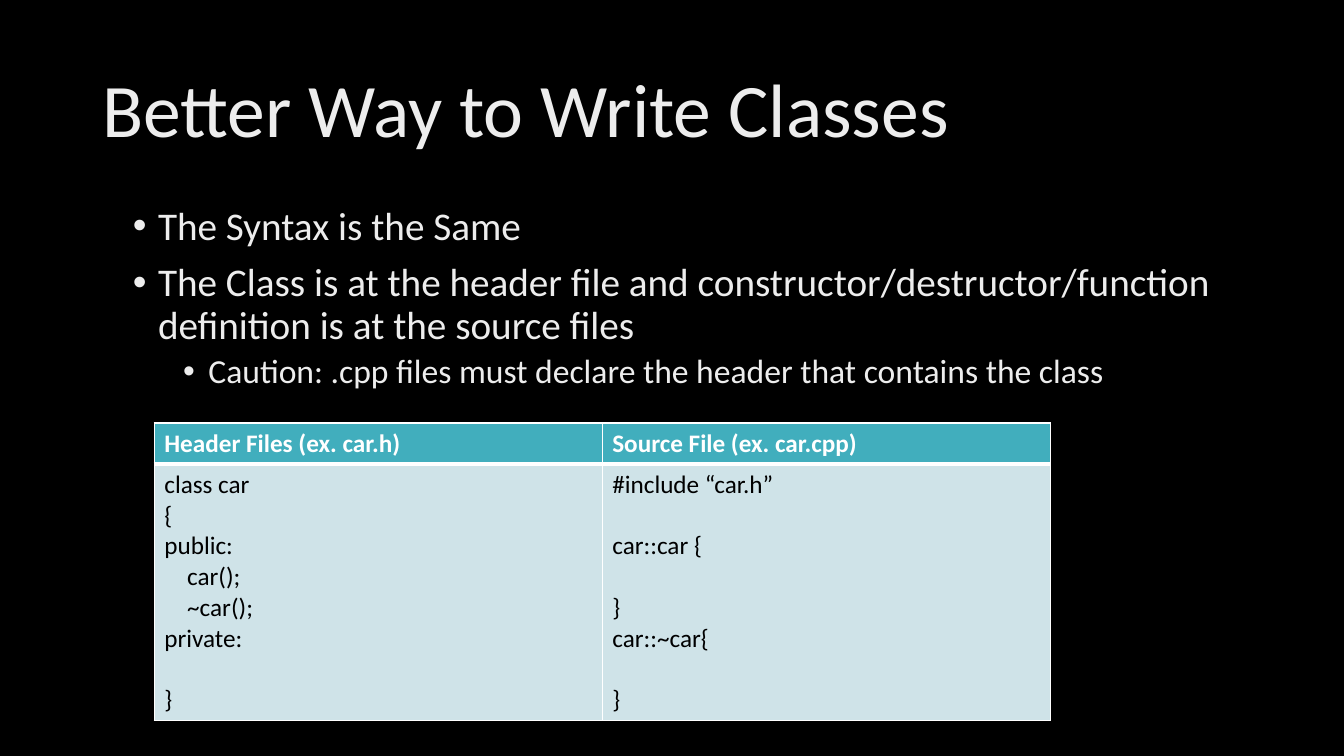
import pptx
import pptx.dml.color
import pptx.enum.text
import pptx.oxml
import pptx.oxml.ns
import pptx.util

Pt = pptx.util.Pt
RGBColor = pptx.dml.color.RGBColor

BLACK = RGBColor(0x00, 0x00, 0x00)
WHITE = RGBColor(0xFF, 0xFF, 0xFF)
PALE_GREY = RGBColor(0xED, 0xED, 0xED)
TEAL = RGBColor(0x41, 0xAE, 0xBD)
PALE_TEAL = RGBColor(0xCF, 0xE3, 0xE8)

FONT = "Calibri"
CODE_SIZE = 18
CODE_LINE = 22
CODE_INDENT = 16.3
NAMESPACE = pptx.oxml.ns.nsdecls("a")

BULLETS = [
    (0, "The Syntax is the Same"),
    (0, "The Class is at the header file and constructor/destructor/function "
        "definition is at the source files"),
    (1, "Caution: .cpp files must declare the header that contains the class"),
]
BULLET_LEVELS = [
    {"size": 28, "margin": 18, "space_before": 10},
    {"size": 24, "margin": 54, "space_before": 5},
]

# Each code line: blank lines above it, indent steps, text
CODE_COLUMNS = {
    "Header Files (ex. car.h)": [
        (0, 0, "class car"), (0, 0, "{"), (0, 0, "public:"), (0, 1, "car();"),
        (0, 1, "~car();"), (0, 0, "private:"), (1, 0, "}"),
    ],
    "Source File (ex. car.cpp)": [
        (0, 0, "#include “car.h”"), (1, 0, "car::car {"), (1, 0, "}"),
        (0, 0, "car::~car{"), (1, 0, "}"),
    ],
}


def add_run(paragraph, text, size, color, bold=False):
    run = paragraph.add_run()
    run.text = text
    formats = {"name": FONT, "size": Pt(size), "bold": bold}
    for name, value in formats.items():
        setattr(run.font, name, value)
    run.font.color.rgb = color


def next_paragraph(text_frame, index):
    return text_frame.add_paragraph() if index else text_frame.paragraphs[0]


def set_indent(paragraph, margin, first_line=0):
    properties = paragraph._p.get_or_add_pPr()
    properties.set("marL", str(Pt(margin)))
    properties.set("indent", str(Pt(first_line)))
    return properties


def add_text_frame(slide, box, anchor):
    text_frame = slide.shapes.add_textbox(*map(Pt, box)).text_frame
    formats = {"word_wrap": True, "vertical_anchor": anchor}
    for name, value in formats.items():
        setattr(text_frame, name, value)
    return text_frame


def add_title(slide, box):
    text_frame = add_text_frame(slide, box, pptx.enum.text.MSO_ANCHOR.MIDDLE)
    paragraph = text_frame.paragraphs[0]
    paragraph.line_spacing = 0.9
    add_run(paragraph, "Better Way to Write Classes", 54, PALE_GREY)


def add_bullets(slide, box):
    text_frame = add_text_frame(slide, box, pptx.enum.text.MSO_ANCHOR.TOP)
    for index, (level, text) in enumerate(BULLETS):
        style = BULLET_LEVELS[level]
        paragraph = next_paragraph(text_frame, index)
        formats = {"level": level, "line_spacing": 0.9,
                   "space_before": Pt(style["space_before"])}
        for name, value in formats.items():
            setattr(paragraph, name, value)
        properties = set_indent(paragraph, style["margin"], -18)
        for tag in ('buFont typeface="Arial"', 'buChar char="•"'):
            properties.append(pptx.oxml.parse_xml(f"<a:{tag} {NAMESPACE}/>"))
        add_run(paragraph, text, style["size"], PALE_GREY)


def style_cell(cell, fill, border_widths):
    properties = cell._tc.get_or_add_tcPr()
    for side, width in border_widths.items():
        properties.append(pptx.oxml.parse_xml(
            f'<a:ln{side} {NAMESPACE} w="{Pt(width)}"><a:solidFill>'
            f'<a:srgbClr val="{WHITE}"/></a:solidFill></a:ln{side}>'))
    cell.fill.solid()
    cell.fill.fore_color.rgb = fill


def add_code_table(slide, box, header_height):
    left, top, width, height = box
    table = slide.shapes.add_table(2, len(CODE_COLUMNS), *map(Pt, box)).table
    table.horz_banding = False
    for row, row_height in zip(table.rows, (header_height, height - header_height)):
        row.height = Pt(row_height)

    for column, (heading, code) in enumerate(CODE_COLUMNS.items()):
        table.columns[column].width = Pt(width / len(CODE_COLUMNS))
        # Heading, with a thick rule beneath
        cell = table.cell(0, column)
        style_cell(cell, TEAL, {"L": 1, "R": 1, "T": 1, "B": 3})
        add_run(cell.text_frame.paragraphs[0], heading, CODE_SIZE, WHITE, bold=True)
        # Code lines
        cell = table.cell(1, column)
        style_cell(cell, PALE_TEAL, {"L": 1, "R": 1, "T": 3, "B": 1})
        for index, (blank_lines, steps, text) in enumerate(code):
            paragraph = next_paragraph(cell.text_frame, index)
            paragraph.space_before = Pt(blank_lines * CODE_LINE)
            set_indent(paragraph, steps * CODE_INDENT)
            add_run(paragraph, text, CODE_SIZE, BLACK)


def build_slide(presentation):
    slide = presentation.slides.add_slide(presentation.slide_layouts[6])
    slide.background.fill.solid()
    slide.background.fill.fore_color.rgb = BLACK
    add_title(slide, (66, 28.8, 828, 104.4))
    add_bullets(slide, (87.8, 144, 805.7, 342.7))
    add_code_table(slide, (110.2, 302.2, 640, 212.4), header_height=29.5)


presentation = pptx.Presentation()
presentation.slide_width = Pt(960)
presentation.slide_height = Pt(540)
build_slide(presentation)
presentation.save("out.pptx")
